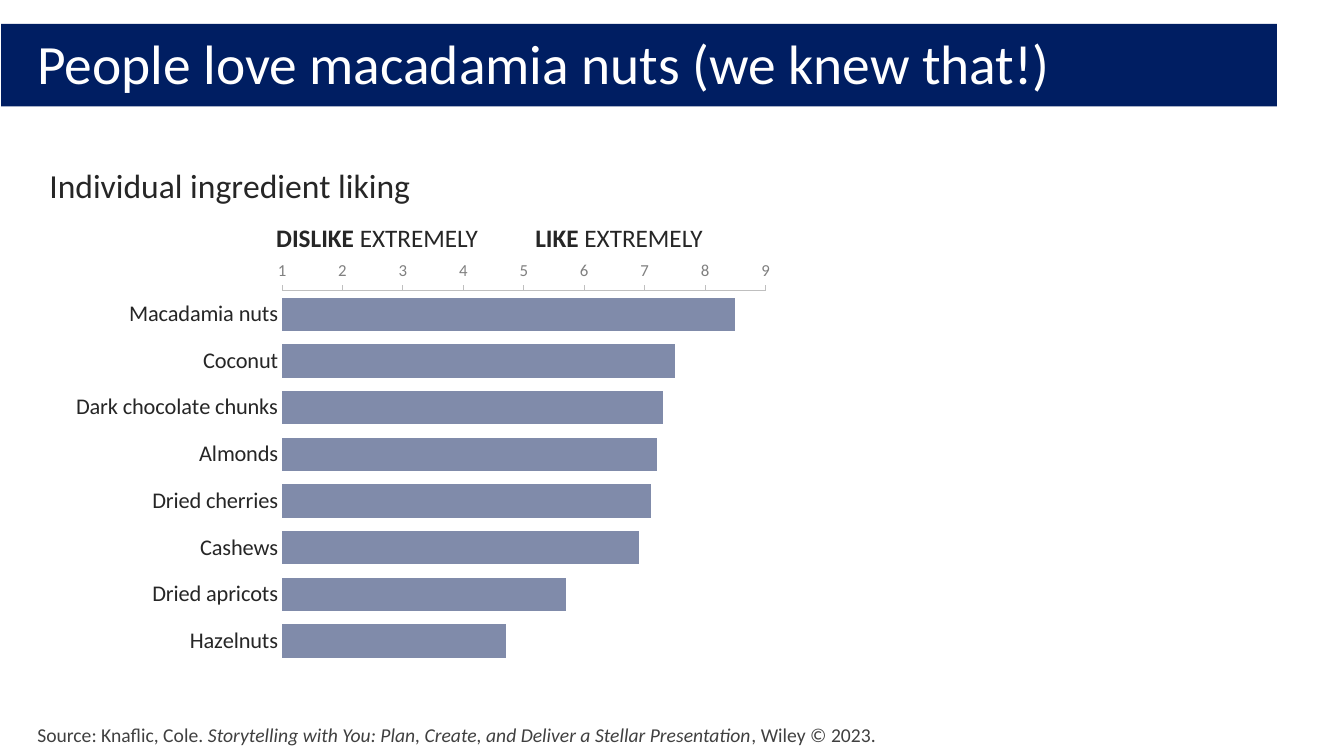
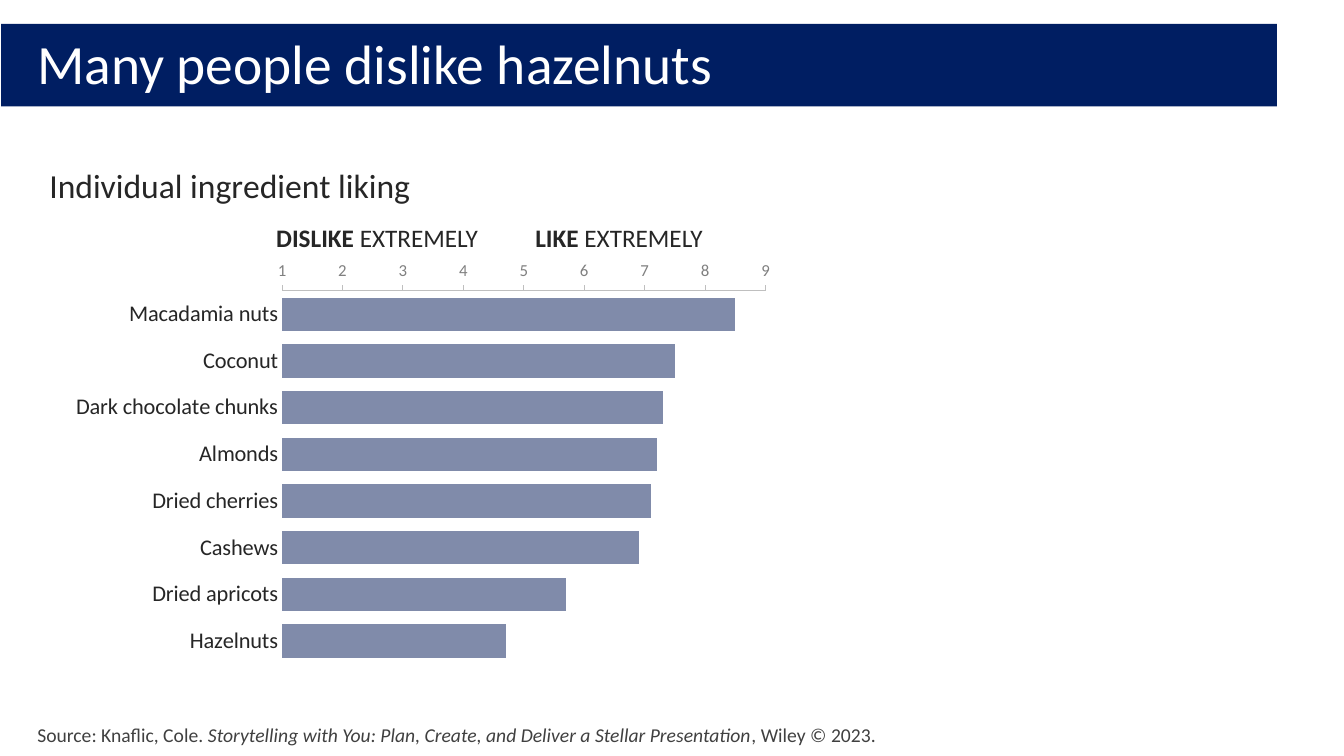
from typing import NamedTuple

from lxml.etree import SubElement
from pptx import Presentation
from pptx.chart.data import CategoryChartData
from pptx.dml.color import RGBColor
from pptx.enum.chart import XL_CHART_TYPE, XL_TICK_MARK
from pptx.enum.shapes import MSO_SHAPE
from pptx.enum.text import MSO_ANCHOR
from pptx.oxml import parse_xml
from pptx.oxml.ns import nsdecls, qn
from pptx.util import Cm, Pt

NAVY = "001E62"
BAR = "808BAA"
WHITE = "FFFFFF"
INK = "262626"
SOURCE_GREY = "404040"
AXIS_GREY = "808080"
LINE_GREY = "BFBFBF"
BODY_FONT = "Calibri"


class Box(NamedTuple):
    left: float
    top: float
    width: float
    height: float

    def cm(self) -> list[Cm]:
        return [Cm(v) for v in self]


class Span(NamedTuple):
    text: str
    bold: bool = False
    italic: bool = False


class Label(NamedTuple):
    box: Box
    spans: list[Span]
    size: float
    color: str
    anchor: MSO_ANCHOR = MSO_ANCHOR.TOP
    line_spacing: float = 1.0
    tab: float = 0


BAND = Box(0.03, 0.6, 32.15, 2.08)
TITLE = Box(0.69, 0.84, 31.17, 1.68)
CHART = Box(1.09, 3.96, 18.69, 13.18)

SOURCE = Label(
    Box(0.69, 18.08, 32.61, 0.86),
    [
        Span("Source: Knaflic, Cole. "),
        Span("Storytelling with You: Plan, Create, and Deliver a Stellar Presentation", italic=True),
        Span(", Wiley © 2023."),
    ],
    14,
    SOURCE_GREY,
)
SCALE = Label(
    Box(6.71, 5.49, 13.87, 1.02),
    [
        Span("DISLIKE", bold=True),
        Span(" EXTREMELY\t"),
        Span("LIKE", bold=True),
        Span(" EXTREMELY"),
    ],
    18,
    INK,
    tab=6.53,
)

LIKING = {
    "Macadamia nuts": 8.5,
    "Coconut": 7.5,
    "Dark chocolate chunks": 7.3,
    "Almonds": 7.2,
    "Dried cherries": 7.1,
    "Cashews": 6.9,
    "Dried apricots": 5.7,
    "Hazelnuts": 4.7,
}

TITLES = ["People love macadamia nuts (we knew that!)", "Many people dislike hazelnuts"]


def rgb(color: str) -> RGBColor:
    return RGBColor.from_string(color)


def style_font(font, size: float, color: str) -> None:
    font.name = BODY_FONT
    font.size = Pt(size)
    font.color.rgb = rgb(color)


def add_label(s, label: Label) -> None:
    tf = s.shapes.add_textbox(*label.box.cm()).text_frame
    tf.word_wrap = True
    tf.vertical_anchor = label.anchor
    p = tf.paragraphs[0]
    p.line_spacing = label.line_spacing
    if label.tab:
        tabs = SubElement(p._p.get_or_add_pPr(), qn("a:tabLst"))
        SubElement(tabs, qn("a:tab"), pos=str(Cm(label.tab)), algn="l")
    style_font(p.font, label.size, label.color)
    for span in label.spans:
        r = p.add_run()
        r.text = span.text
        if span.bold:
            r.font.bold = True
        if span.italic:
            r.font.italic = True


def add_frame(s, title: str) -> None:
    sp = s.shapes.add_shape(MSO_SHAPE.RECTANGLE, *BAND.cm())
    sp.shadow.inherit = False
    sp.fill.solid()
    sp.fill.fore_color.rgb = rgb(NAVY)
    sp.line.fill.background()
    add_label(s, SOURCE)
    add_label(s, Label(TITLE, [Span(title)], 39.6, WHITE, MSO_ANCHOR.MIDDLE, 0.9))


def set_layout(parent, index: int, target: str = "", **place: float) -> None:
    for old in parent.findall(qn("c:layout")):
        parent.remove(old)
    parts = [f'<c:layoutTarget val="{target}"/>'] if target else []
    parts += [f'<c:{k}Mode val="edge"/>' for k in "xy"]
    parts += [f'<c:{k} val="{v}"/>' for k, v in place.items()]
    inner = "".join(parts)
    layout = f"<c:layout {nsdecls('c')}><c:manualLayout>{inner}</c:manualLayout></c:layout>"
    parent.insert(index, parse_xml(layout))


def add_liking_chart(s) -> None:
    data = CategoryChartData()
    data.categories = list(LIKING)
    data.add_series("Series 1", list(LIKING.values()))
    chart = s.shapes.add_chart(XL_CHART_TYPE.BAR_CLUSTERED, *CHART.cm(), data).chart
    style_font(chart.font, 10, "000000")
    chart.has_legend = False

    chart.has_title = True
    p = chart.chart_title.text_frame.paragraphs[0]
    p.text = "Individual ingredient liking"
    style_font(p.font, 24, INK)
    p.font.bold = False
    area = chart.element.find(qn("c:chart"))
    set_layout(area.find(qn("c:title")), 1, x=0.0, y=-0.01)
    set_layout(area.find(qn("c:plotArea")), 0, "inner", x=0.322, y=0.256, w=0.652, h=0.714)

    plot = chart.plots[0]
    plot.gap_width = 40
    plot.vary_by_categories = False
    fill = plot.series[0].format.fill
    fill.solid()
    fill.fore_color.rgb = rgb(BAR)

    names = chart.category_axis
    names.reverse_order = True
    names.major_tick_mark = XL_TICK_MARK.NONE
    names.format.line.fill.background()
    style_font(names.tick_labels.font, 16, INK)

    scale = chart.value_axis
    scale.minimum_scale, scale.maximum_scale, scale.major_unit = 1, 9, 1
    scale.has_major_gridlines = False
    scale.major_tick_mark = XL_TICK_MARK.OUTSIDE
    scale.format.line.color.rgb = rgb(LINE_GREY)
    scale.format.line.width = Pt(0.75)
    style_font(scale.tick_labels.font, 12, AXIS_GREY)


def main() -> None:
    prs = Presentation()
    prs.slide_width, prs.slide_height = Cm(33.87), Cm(19.05)
    for title in TITLES:
        s = prs.slides.add_slide(prs.slide_layouts[6])
        add_frame(s, title)
        add_liking_chart(s)
        add_label(s, SCALE)
    prs.save("out.pptx")


if __name__ == "__main__":
    main()
